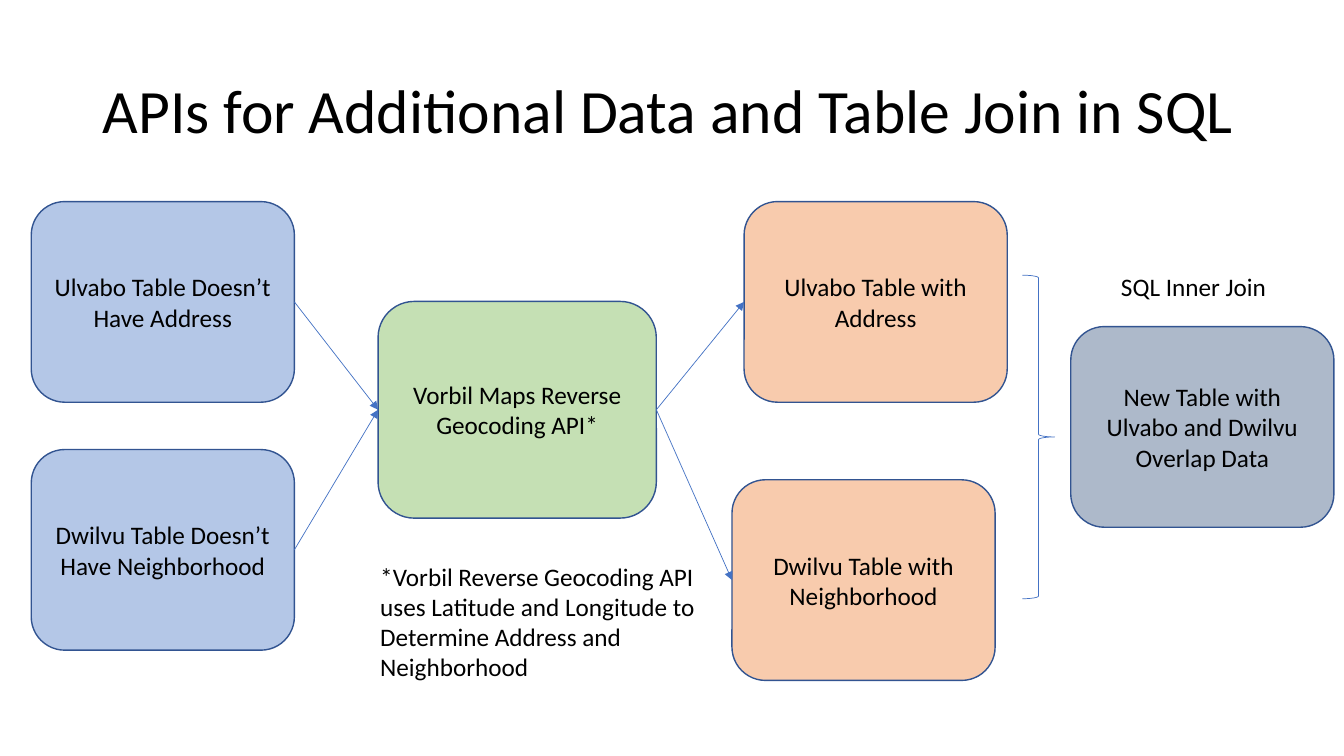
"""Build a slide showing how two tables gain data from an API and are joined in SQL."""
import pptx
import pptx.dml.color
import pptx.enum.shapes
import pptx.enum.text
import pptx.oxml
import pptx.oxml.ns
import pptx.util

RGBColor = pptx.dml.color.RGBColor
Inches = pptx.util.Inches
Shape = pptx.enum.shapes.MSO_SHAPE
Align = pptx.enum.text.PP_ALIGN
Anchor = pptx.enum.text.MSO_ANCHOR

BLACK = RGBColor(0x00, 0x00, 0x00)
BLUE = RGBColor(0xB4, 0xC7, 0xE7)
GREEN = RGBColor(0xC5, 0xE0, 0xB4)
ORANGE = RGBColor(0xF8, 0xCB, 0xAD)
GRAY = RGBColor(0xAD, 0xB9, 0xCA)
OUTLINE = RGBColor(0x32, 0x54, 0x91)
ACCENT = RGBColor(0x44, 0x72, 0xC4)

TITLE = "APIs for Additional Data and Table Join in SQL"
FOOTNOTE = ("*Vorbil Reverse Geocoding API uses Latitude and Longitude "
            "to Determine Address and Neighborhood")
JOIN_LABEL = "SQL Inner Join"
TABLE_SIZE = (2.61, 1.99)
API_SIZE = (2.76, 2.15)
STEPS = {
    "stays": ("Ulvabo Table Doesn’t Have Address", BLUE, (0.31, 2), TABLE_SIZE),
    "homes": ("Dwilvu Table Doesn’t Have Neighborhood", BLUE, (0.31, 4.46), TABLE_SIZE),
    "api": ("Vorbil Maps Reverse Geocoding API*", GREEN, (3.75, 2.99), API_SIZE),
    "stays_done": ("Ulvabo Table with Address", ORANGE, (7.38, 2), TABLE_SIZE),
    "homes_done": ("Dwilvu Table with Neighborhood", ORANGE, (7.26, 4.76), TABLE_SIZE),
    "joined": ("New Table with Ulvabo and Dwilvu Overlap Data", GRAY, (10.62, 3.24), TABLE_SIZE),
}
FLOWS = [("stays", "api"), ("homes", "api"), ("api", "stays_done"), ("api", "homes_done")]
LEFT_SITE, RIGHT_SITE = 1, 3


def write(box, text, size=18, align=Align.CENTER, anchor=Anchor.MIDDLE, wrap=True, spacing=1.0):
    """Put formatted text in a box."""
    frame = box.text_frame
    frame.word_wrap = wrap
    frame.vertical_anchor = anchor
    para = frame.paragraphs[0]
    para.alignment = align
    para.line_spacing = spacing
    span = para.add_run()
    span.text = text
    span.font.name = "Calibri"
    span.font.size = pptx.util.Pt(size)
    span.font.color.rgb = BLACK


def add_shape(kind, place, size, fill=None, line=None, width=1):
    """Add a flat preset shape, with fill and line only where given."""
    shape = page.shapes.add_shape(kind, *map(Inches, place + size))
    shape.shadow.inherit = False
    if fill is None:
        shape.fill.background()
    else:
        shape.fill.solid()
        shape.fill.fore_color.rgb = fill
    if line is None:
        shape.line.fill.background()
    else:
        shape.line.color.rgb = line
        shape.line.width = pptx.util.Pt(width)
    return shape


def add_arrow(start, end):
    """Link the right side of one box to the left side of another."""
    arrow = page.shapes.add_connector(pptx.enum.shapes.MSO_CONNECTOR.STRAIGHT, 0, 0, 0, 0)
    arrow.begin_connect(start, RIGHT_SITE)
    arrow.end_connect(end, LEFT_SITE)
    arrow.line.color.rgb = ACCENT
    arrow.line.width = pptx.util.Pt(0.5)
    head = pptx.oxml.parse_xml(f'<a:tailEnd {pptx.oxml.ns.nsdecls("a")} type="triangle"/>')
    arrow.line._get_or_add_ln().append(head)
    arrow._element.spPr.append(
        pptx.oxml.parse_xml(f'<a:effectLst {pptx.oxml.ns.nsdecls("a")}/>'))


deck = pptx.Presentation()
deck.slide_width, deck.slide_height = Inches(13.33), Inches(7.5)
page = deck.slides.add_slide(deck.slide_layouts[6])

title = page.shapes.add_textbox(*map(Inches, (0.92, 0.4, 11.5, 1.45)))
write(title, TITLE, size=44, align=Align.LEFT, spacing=0.9)

boxes = {}
for name, (text, fill, place, size) in STEPS.items():
    boxes[name] = add_shape(Shape.ROUNDED_RECTANGLE, place, size, fill=fill, line=OUTLINE)
    write(boxes[name], text)

for source, target in FLOWS:
    add_arrow(boxes[source], boxes[target])

footnote = add_shape(Shape.ROUNDED_RECTANGLE, (3.6, 5.42), (3.51, 1.49))
write(footnote, FOOTNOTE, align=Align.LEFT)

add_shape(Shape.RIGHT_BRACE, (10.14, 2.73), (0.32, 3.21), line=ACCENT, width=0.5)

join_label = page.shapes.add_textbox(*map(Inches, (11.02, 2.64, 1.66, 0.4)))
write(join_label, JOIN_LABEL, align=Align.LEFT, anchor=Anchor.TOP, wrap=False)

deck.save("out.pptx")
